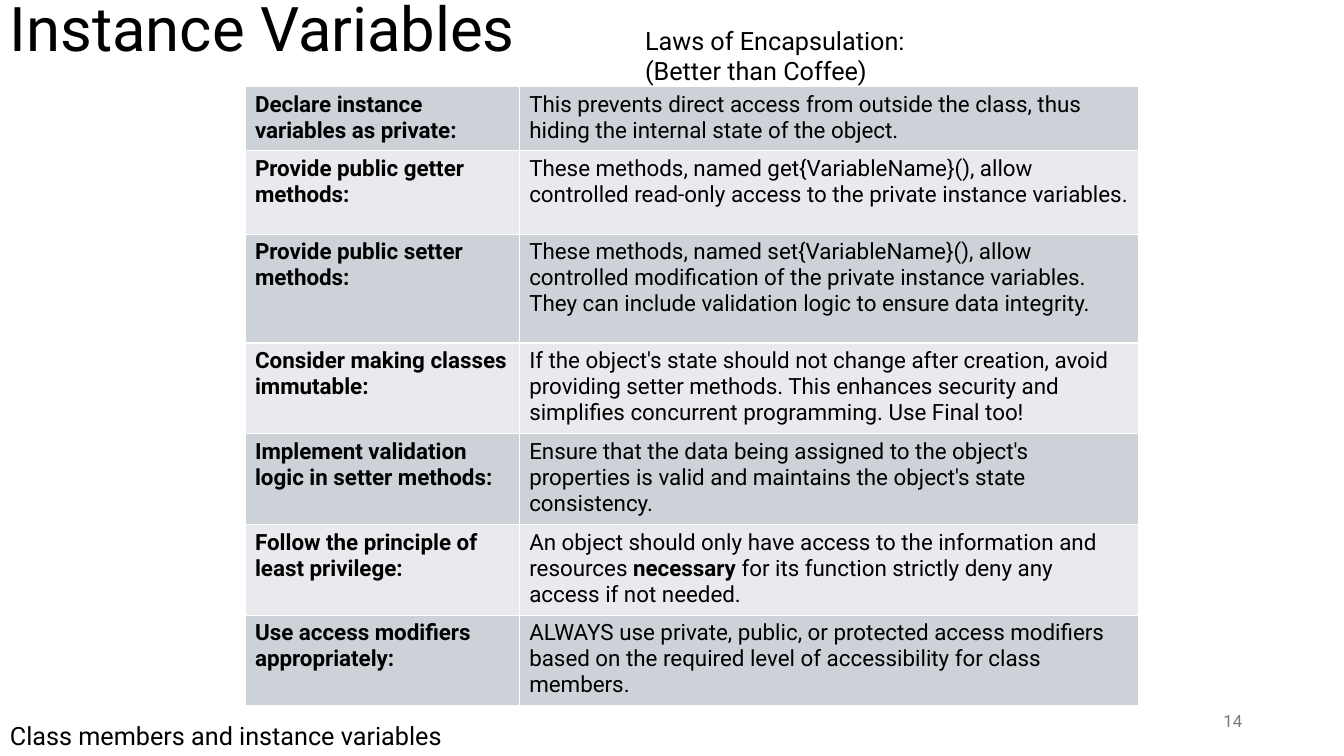
import pptx
import pptx.util
import pptx.dml.color
import pptx.enum.text
import pptx.oxml
import pptx.oxml.ns

PX = 9144  # EMU per px, 100 px to the inch
FONT = "Roboto"
COLORS = {"text": "000000", "number": "797979", "border": "FFFFFF",
          "dark": "CCD2D8", "light": "E8EAED"}
ANCHOR = pptx.enum.text.MSO_ANCHOR
ALIGN = pptx.enum.text.PP_ALIGN

presentation = pptx.Presentation()
presentation.slide_width = 1333 * PX
presentation.slide_height = 750 * PX
slide = presentation.slides.add_slide(presentation.slide_layouts[6])


def style(paragraph, size, color="text", bold=None):
    paragraph.font.name = FONT
    paragraph.font.size = pptx.util.Pt(size)
    paragraph.font.color.rgb = pptx.dml.color.RGBColor.from_string(COLORS[color])
    paragraph.font.bold = bold


def add_text(box, lines, size, color="text", anchor=ANCHOR.TOP):
    frame = slide.shapes.add_textbox(*(length * PX for length in box)).text_frame
    frame.word_wrap = True
    frame.vertical_anchor = anchor
    frame.text = lines
    for paragraph in frame.paragraphs:
        style(paragraph, size, color)
    return frame


# Title, slide number, footer and subtitle
title = add_text((0, -41, 1150, 145), "Instance Variables", 44, anchor=ANCHOR.MIDDLE)
title.paragraphs[0].line_spacing = 0.9
number = add_text((942, 695, 300, 40), "14", 12, "number", ANCHOR.MIDDLE)
number.paragraphs[0].alignment = ALIGN.RIGHT
add_text((0, 710, 481, 40), "Class members and instance variables", 18)
add_text((630, 20, 300, 70), "Laws of Encapsulation:\n(Better than Coffee)", 18)

# Laws: heading, explanation, row height; ** surrounds bold words
laws = [
    ("Declare instance variables as private:",
     "This prevents direct access from outside the class, thus hiding the internal "
     "state of the object.", 62),
    ("Provide public getter methods:",
     "These methods, named get{VariableName}(), allow controlled read-only access to "
     "the private instance variables.", 83),
    ("Provide public setter methods:",
     "These methods, named set{VariableName}(), allow controlled modification of the "
     "private instance variables. They can include validation logic to ensure data "
     "integrity.", 108),
    ("Consider making classes immutable:",
     "If the object's state should not change after creation, avoid providing setter "
     "methods. This enhances security and simplifies concurrent programming. Use Final "
     "too!", 90),
    ("Implement validation logic in setter methods:",
     "Ensure that the data being assigned to the object's properties is valid and "
     "maintains the object's state consistency.", 90),
    ("Follow the principle of least privilege:",
     "An object should only have access to the information and resources **necessary** "
     "for its function strictly deny any access if not needed.", 90),
    ("Use access modifiers appropriately:",
     "ALWAYS use private, public, or protected access modifiers based on the required "
     "level of accessibility for class members.", 90),
]
column_widths = (272, 614)
table_height = sum(height for _, _, height in laws)
laws_table = slide.shapes.add_table(
    len(laws), 2, 243 * PX, 86 * PX, sum(column_widths) * PX, table_height * PX).table
laws_table.first_row = False
laws_table.horz_banding = False
for column, width in zip(laws_table.columns, column_widths):
    column.width = width * PX

for row_index, (heading, explanation, height) in enumerate(laws):
    laws_table.rows[row_index].height = height * PX
    band = "light" if row_index % 2 else "dark"
    for column_index, content in enumerate((heading, explanation)):
        cell = laws_table.cell(row_index, column_index)

        # Borders go before the fill
        properties = cell._tc.get_or_add_tcPr()
        for side in ("lnL", "lnR", "lnT", "lnB"):
            properties.append(pptx.oxml.parse_xml(
                f'<a:{side} {pptx.oxml.ns.nsdecls("a")} w="12700"><a:solidFill>'
                f'<a:srgbClr val="{COLORS["border"]}"/></a:solidFill></a:{side}>'))
        cell.fill.solid()
        cell.fill.fore_color.rgb = pptx.dml.color.RGBColor.from_string(COLORS[band])

        paragraph = cell.text_frame.paragraphs[0]
        style(paragraph, 16, bold=column_index == 0)
        for part_index, part in enumerate(content.split("**")):
            run = paragraph.add_run()
            run.text = part
            if part_index % 2:
                run.font.bold = True

presentation.save("out.pptx")
